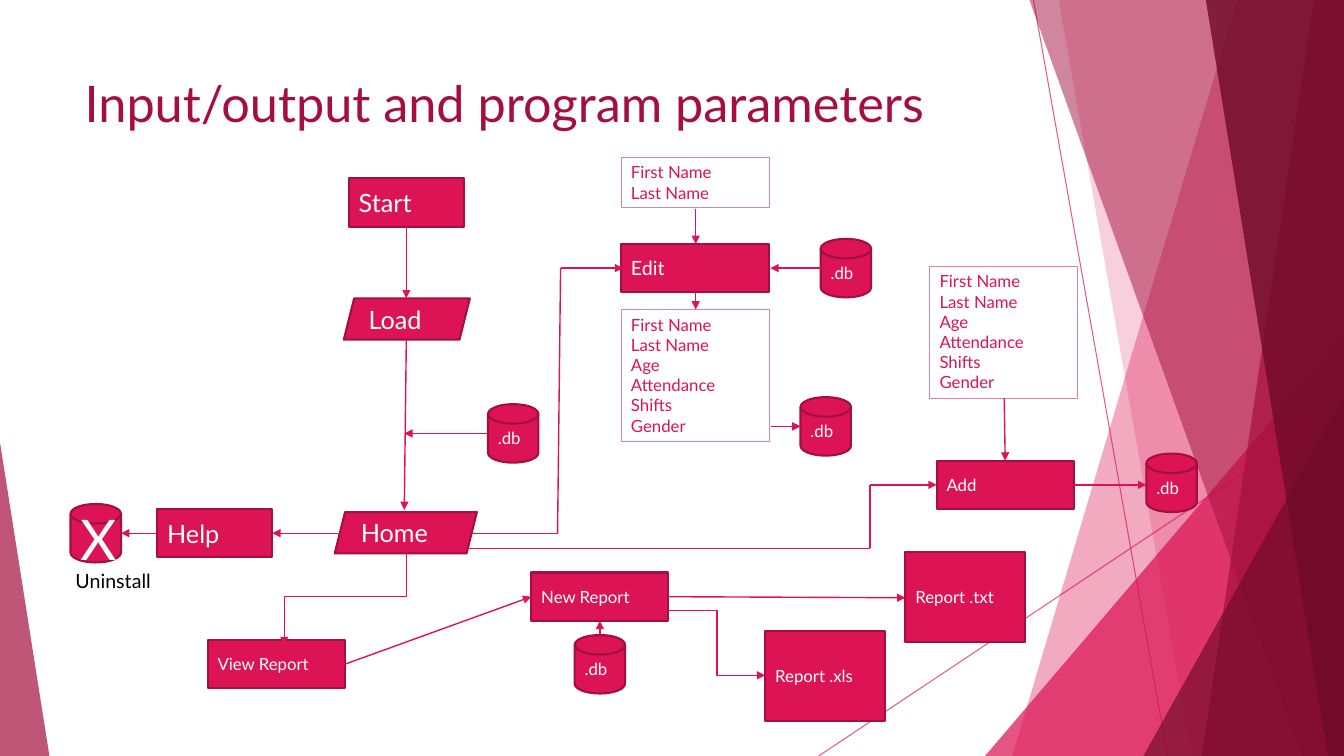
import itertools

import pptx
import pptx.dml.color
import pptx.enum.shapes
import pptx.enum.text
import pptx.oxml
import pptx.oxml.ns
import pptx.util

SHAPES = pptx.enum.shapes.MSO_SHAPE
CONNECTORS = pptx.enum.shapes.MSO_CONNECTOR
ANCHOR = pptx.enum.text.MSO_ANCHOR
COLOURS = {
    "accent": "DC1455", "border": "A30F3F", "frame": "DC81A8", "title": "A50F40",
    "wine": "6E0A2A", "white": "FFFFFF", "black": "000000",
}
SLIDE_WIDTH, SLIDE_HEIGHT = 13.33, 7.5
BOX_HEIGHT = 0.48
DISK_SIZE = (0.5, 0.58)
REPORT_SIZE = (1.19, 0.89)
FRAME_WIDTH = 1.47


def length(inches):
    """Convert a measure in inches to a Cm length."""
    return pptx.util.Cm(inches * 2.54)


def assign(target, values):
    """Set every attribute in values on target."""
    for attribute, value in values.items():
        setattr(target, attribute, value)


def append_xml(parent, tag, attributes=""):
    """Append an empty drawing element to parent."""
    namespace = pptx.oxml.ns.nsdecls("a")
    parent.append(pptx.oxml.parse_xml(f"<a:{tag} {namespace} {attributes}/>"))


class FlowSlide:
    """Draw the elements of a flowchart slide in one style."""

    font = "Lato"

    def __init__(self, presentation):
        """Add a title-only slide."""
        self.slide = presentation.slides.add_slide(presentation.slide_layouts[5])
        self.shapes = self.slide.shapes

    def paint(self, colour_format, colour, opacity=100):
        """Give a solid fill or line its colour and opacity."""
        colour_format.rgb = pptx.dml.color.RGBColor.from_string(COLOURS[colour])
        if opacity < 100:
            colour_node = colour_format._xFill.find(pptx.oxml.ns.qn("a:srgbClr"))
            append_xml(colour_node, "alpha", f'val="{opacity * 1000}"')

    def set_text(self, shape, lines, size, colour, **frame_format):
        """Put formatted paragraphs into a shape."""
        frame = shape.text_frame
        frame.text = "\n".join(lines)
        assign(frame, {"word_wrap": True, **frame_format})
        for paragraph in frame.paragraphs:
            assign(paragraph.font, {"name": self.font, "size": pptx.util.Pt(size)})
            self.paint(paragraph.font.color, colour)

    def title(self, text, bounds):
        """Fill the title placeholder."""
        heading = self.shapes.title
        sides = ("left", "top", "width", "height")
        assign(heading, dict(zip(sides, map(length, bounds))))
        self.set_text(heading, [text], 36, "title", vertical_anchor=ANCHOR.TOP)
        heading.text_frame.paragraphs[0].alignment = pptx.enum.text.PP_ALIGN.LEFT

    def tint(self, shape, colour, opacity):
        """Make a shape a borderless translucent facet."""
        shape.shadow.inherit = False
        shape.fill.solid()
        self.paint(shape.fill.fore_color, colour, opacity)
        shape.line.fill.background()

    def facet(self, points, colour, opacity):
        """Draw a translucent polygon."""
        corners = [(length(x), length(y)) for x, y in points]
        builder = self.shapes.build_freeform(*corners[0], scale=1.0)
        builder.add_line_segments(corners[1:], close=True)
        self.tint(builder.convert_to_shape(), colour, opacity)

    def corner(self, bounds, apex, colour, opacity):
        """Draw a translucent triangle with its apex at a share of the width."""
        triangle = self.shapes.add_shape(SHAPES.ISOSCELES_TRIANGLE, *map(length, bounds))
        triangle.adjustments[0] = apex
        self.tint(triangle, colour, opacity)

    def node(self, text, bounds, size=12, kind=SHAPES.RECTANGLE):
        """Draw a filled flowchart step."""
        step = self.shapes.add_shape(kind, *map(length, bounds))
        step.shadow.inherit = False
        step.fill.solid()
        self.paint(step.fill.fore_color, "accent")
        self.paint(step.line.color, "border")
        step.line.width = pptx.util.Pt(1.5)
        self.set_text(step, [text], size, "white", vertical_anchor=ANCHOR.MIDDLE)

    def disk(self, text, left, top, size=12):
        """Draw a storage cylinder."""
        self.node(text, (left, top, *DISK_SIZE), size, SHAPES.FLOWCHART_MAGNETIC_DISK)

    def label(self, lines, bounds, size=12, colour="accent", framed=True):
        """Add a text box, with a thin frame if wanted."""
        box = self.shapes.add_textbox(*map(length, bounds))
        self.set_text(box, lines, size, colour,
                      auto_size=pptx.enum.text.MSO_AUTO_SIZE.SHAPE_TO_FIT_TEXT)
        if framed:
            self.paint(box.line.color, "frame")
            box.line.width = pptx.util.Pt(0.75)

    def link(self, start, end, arrow=True, width=1, opacity=100, kind=CONNECTORS.STRAIGHT):
        """Draw a connector."""
        connector = self.shapes.add_connector(kind, *map(length, (*start, *end)))
        connector.line.width = pptx.util.Pt(width)
        self.paint(connector.line.color, "accent", opacity)
        if arrow:
            append_xml(connector.line._get_or_add_ln(), "tailEnd", 'type="triangle"')
        append_xml(connector._element.spPr, "effectLst")

    def route(self, *points):
        """Draw a chain of connectors ending in an arrow."""
        for start, end in itertools.pairwise(points):
            self.link(start, end, arrow=end == points[-1])


def draw_backdrop(flow):
    """Draw the faceted decoration at the slide edges."""
    flow.link((10.25, 0), (11.58, SLIDE_HEIGHT), arrow=False, width=0.75, opacity=70)
    flow.link((SLIDE_WIDTH, 4.03), (8.12, SLIDE_HEIGHT), arrow=False, width=0.75, opacity=70)

    def band(top, bottom, colour, opacity):
        """Draw a facet reaching the right edge."""
        flow.facet([(top, 0), (SLIDE_WIDTH, 0), (SLIDE_WIDTH, SLIDE_HEIGHT),
                    (bottom, SLIDE_HEIGHT)], colour, opacity)

    band(12.27, 10.04, "accent", 36)
    band(10.5, 11.82, "accent", 20)
    flow.corner((9.77, 3.33, 3.56, 4.17), 1, "accent", 72)
    band(10.21, 12.91, "title", 50)
    band(13.03, 11.92, "title", 70)
    band(11.96, 13.17, "wine", 80)
    flow.corner((11.34, 3.93, 1.99, 3.57), 1, "wine", 66)
    flow.corner((0, 4.39, 0.49, 3.11), 0, "title", 70)


def draw_flowchart(flow):
    """Draw the steps, stores, field lists and arrows."""
    for text, left, top, width, size in [
        ("Start", 3.46, 1.77, 1.14, 18), ("Help", 1.56, 5.05, 1.14, 18),
        ("View Report", 2.06, 6.35, 1.36, 12), ("New Report", 5.27, 5.68, 1.36, 12),
        ("Edit", 6.16, 2.42, FRAME_WIDTH, 14), ("Add", 9.29, 4.57, 1.36, 12),
    ]:
        flow.node(text, (left, top, width, BOX_HEIGHT), size)
    for text, left, top, width in [("Load", 3.41, 2.96, 1.25), ("Home", 3.32, 5.08, 1.41)]:
        flow.node(text, (left, top, width, 0.41), 18, SHAPES.PARALLELOGRAM)
    for text, left, top in [("Report .txt", 8.98, 5.48), ("Report .xls", 7.59, 6.26)]:
        flow.node(text, (left, top, *REPORT_SIZE))
    for left, top in [(11.37, 4.5), (8.14, 2.37), (5.7, 6.3), (7.94, 3.94), (4.84, 4.01)]:
        flow.disk(".db", left, top)
    flow.disk("X", 0.7, 5, size=40)
    flow.label(["Uninstall"], (0.65, 5.59, 1.02, 0.34), 14, "black", framed=False)

    names = ["First Name", "Last Name"]
    record = names + ["Age", "Attendance", "Shifts", "Gender"]
    for fields, left, top, height in [
        (names, 6.16, 1.56, 0.5), (record, 6.16, 3.07, 1.31), (record, 9.22, 2.64, 1.31),
    ]:
        flow.label(fields, (left, top, FRAME_WIDTH, height))

    for points in [
        [(4.03, 2.24), (4.03, 2.96)], [(4.03, 3.37), (4.01, 5.06)],
        [(3.38, 5.29), (2.7, 5.29)], [(1.56, 5.29), (1.2, 5.29)],
        [(3.42, 6.59), (5.27, 5.92)], [(6.63, 5.92), (8.98, 5.93)],
        [(9.96, 3.95), (9.97, 4.57)], [(10.65, 4.81), (11.37, 4.81)],
        [(6.9, 2.07), (6.9, 2.42)], [(6.9, 2.9), (6.9, 3.07)],
        [(8.14, 2.66), (7.64, 2.66)], [(7.65, 4.23), (7.94, 4.23)],
        [(5.95, 6.3), (5.95, 6.16)], [(4.84, 4.3), (4.01, 4.3)],
        [(4.68, 5.29), (5.53, 5.29), (5.56, 2.66), (6.18, 2.66)],
        [(4.6, 5.44), (8.63, 5.44), (8.63, 4.81), (9.29, 4.81)],
        [(4.03, 5.49), (4.03, 5.92), (2.82, 5.92), (2.82, 6.4)],
    ]:
        flow.route(*points)
    flow.link((6.63, 6.06), (7.59, 6.7), kind=CONNECTORS.ELBOW)


def main():
    """Build and save the slide."""
    presentation = pptx.Presentation()
    assign(presentation, {"slide_width": length(SLIDE_WIDTH),
                          "slide_height": length(SLIDE_HEIGHT)})
    flow = FlowSlide(presentation)
    draw_backdrop(flow)
    flow.title("Input/output and program parameters", (0.74, 0.67, 9.4, 1.44))
    draw_flowchart(flow)
    presentation.save("out.pptx")


if __name__ == "__main__":
    main()
